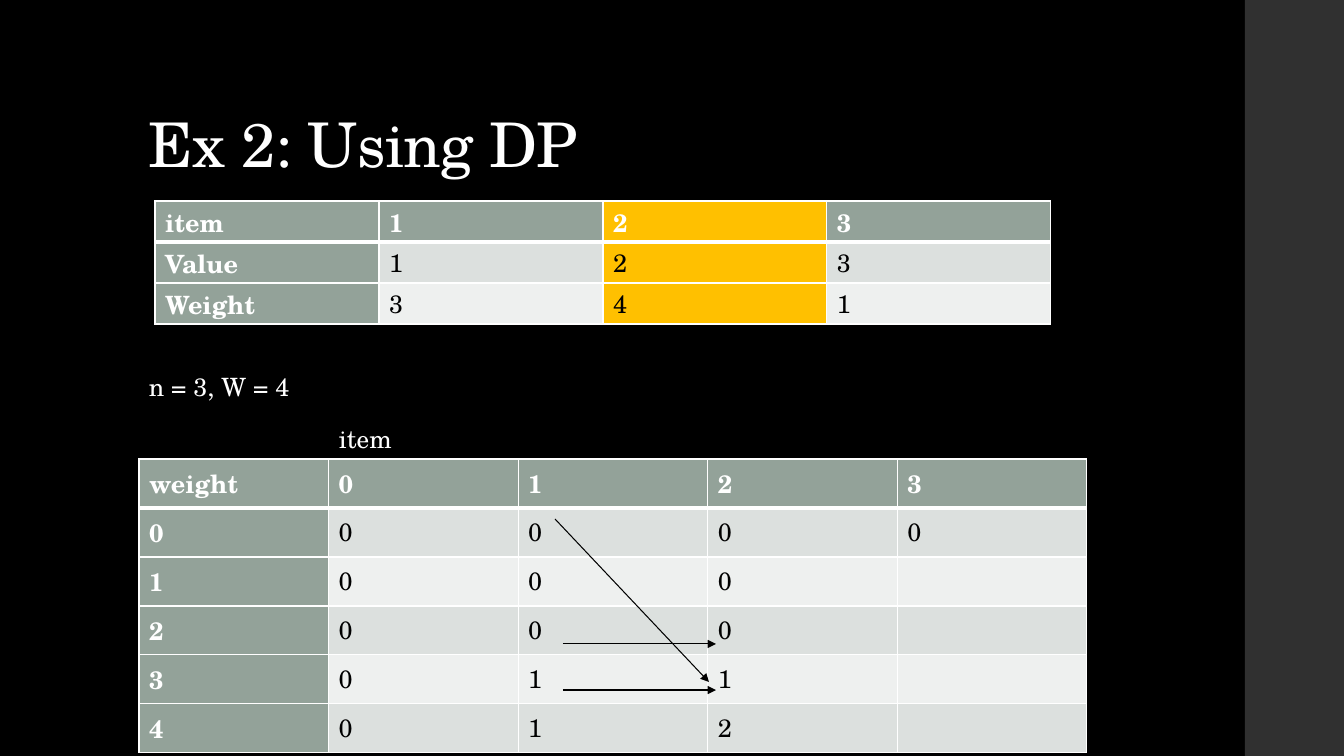
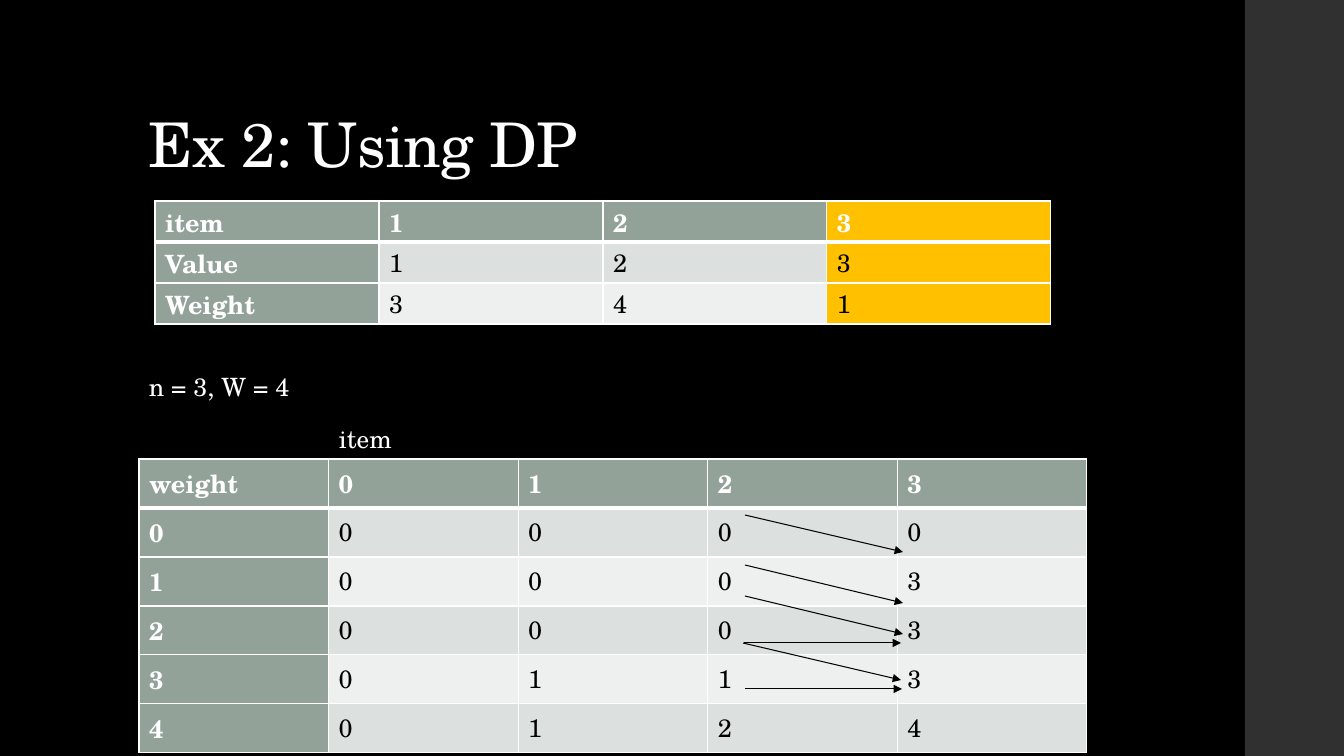
"""Build two slides that step through a knapsack example solved with dynamic programming."""
import lxml.etree
import pptx
import pptx.dml.color
import pptx.enum.shapes
import pptx.enum.text
import pptx.oxml.ns
import pptx.util

PX = 9072
FONT = "TeX Gyre Schola"
WHITE = "FFFFFF"
BLACK = "000000"
SIDEBAR = "303030"
HEADER = "93A299"
BANDS = ("DCE0DE", "EEF0EF")
HIGHLIGHT = "FFC000"


def color(value):
    return pptx.dml.color.RGBColor.from_string(value)


def write_text(text_frame, text, size=18, color_hex=WHITE, bold=False, spacing=None, line_spacing=None):
    paragraph = text_frame.paragraphs[0]
    paragraph.line_spacing = line_spacing
    run = paragraph.add_run()
    run.text = text
    run.font.name = FONT
    run.font.size = pptx.util.Pt(size)
    run.font.bold = bold
    run.font.color.rgb = color(color_hex)
    if spacing is not None:
        run.font._element.set("spc", str(spacing))


ITEMS = [
    ["item", "1", "2", "3"],
    ["Value", "1", "2", "3"],
    ["Weight", "3", "4", "1"],
]
SOLUTION = [
    ["weight", "0", "1", "2", "3"],
    ["0", "0", "0", "0", "0"],
    ["1", "0", "0", "0", "3"],
    ["2", "0", "0", "0", "3"],
    ["3", "0", "1", "1", "3"],
    ["4", "0", "1", "2", "4"],
]
PARTIAL = SOLUTION[:2] + [row[:-1] + [""] for row in SOLUTION[2:]]

STEPS = [
    {
        "item": 2,
        "solution": PARTIAL,
        "arrows": [(555, 519, 709, 682), (563, 690, 716, 690), (563, 644, 716, 644)],
    },
    {
        "item": 3,
        "solution": SOLUTION,
        "arrows": [
            (743, 643, 901, 680),
            (745, 689, 902, 689),
            (745, 515, 903, 552),
            (745, 565, 903, 603),
            (745, 596, 903, 634),
            (744, 643, 901, 643),
        ],
    },
]
LABELS = [("item", 329, 418, 105, True), ("n = 3, W = 4", 139, 366, 162, False)]

presentation = pptx.Presentation()
presentation.slide_width = 1344 * PX
presentation.slide_height = 756 * PX
background = presentation.slide_master.background.fill
background.solid()
background.fore_color.rgb = color(BLACK)

for step in STEPS:
    slide = presentation.slides.add_slide(presentation.slide_layouts[6])

    sidebar = slide.shapes.add_shape(
        pptx.enum.shapes.MSO_SHAPE.RECTANGLE, 1245 * PX, 0, 99 * PX, 756 * PX
    )
    sidebar.shadow.inherit = False
    sidebar.fill.solid()
    sidebar.fill.fore_color.rgb = color(SIDEBAR)
    sidebar.line.fill.background()

    title = slide.shapes.add_textbox(139 * PX, 40 * PX, 1068 * PX, 146 * PX).text_frame
    title.word_wrap = True
    title.vertical_anchor = pptx.enum.text.MSO_ANCHOR.BOTTOM
    write_text(title, "Ex 2: Using DP", size=44, spacing=-50, line_spacing=0.9)

    tables = [
        (step["solution"], 139, 459, 948, 49, 5, 5, None),
        (ITEMS, 155, 201, 896, 41, 2, 0, step["item"]),
    ]
    for rows, left, top, width, row_height, margin_top, margin_bottom, highlighted in tables:
        table = slide.shapes.add_table(
            len(rows), len(rows[0]), left * PX, top * PX, width * PX, len(rows) * row_height * PX
        ).table
        table.first_col = True
        for row_index, row in enumerate(rows):
            for column_index, text in enumerate(row):
                cell = table.cell(row_index, column_index)
                cell.margin_top = margin_top * PX
                cell.margin_bottom = margin_bottom * PX
                is_header = row_index == 0 or column_index == 0

                border_widths = {
                    "a:lnL": 1,
                    "a:lnR": 1,
                    "a:lnT": 3 if row_index == 1 else 1,
                    "a:lnB": 3 if row_index == 0 else 1,
                }
                properties = cell._tc.get_or_add_tcPr()
                for side, border_width in border_widths.items():
                    border = lxml.etree.SubElement(
                        properties, pptx.oxml.ns.qn(side), w=str(pptx.util.Pt(border_width))
                    )
                    border_fill = lxml.etree.SubElement(border, pptx.oxml.ns.qn("a:solidFill"))
                    lxml.etree.SubElement(border_fill, pptx.oxml.ns.qn("a:srgbClr"), val=WHITE)

                fill = HEADER if is_header else BANDS[(row_index - 1) % 2]
                if column_index == highlighted:
                    fill = HIGHLIGHT
                cell.fill.solid()
                cell.fill.fore_color.rgb = color(fill)
                if text:
                    write_text(
                        cell.text_frame, text, color_hex=WHITE if is_header else BLACK, bold=is_header
                    )

    for text, left, top, width, wrap in LABELS:
        label = slide.shapes.add_textbox(left * PX, top * PX, width * PX, 40 * PX).text_frame
        label.word_wrap = wrap
        label.auto_size = pptx.enum.text.MSO_AUTO_SIZE.SHAPE_TO_FIT_TEXT
        write_text(label, text)

    for start_x, start_y, end_x, end_y in step["arrows"]:
        arrow = slide.shapes.add_connector(
            pptx.enum.shapes.MSO_CONNECTOR.STRAIGHT, start_x * PX, start_y * PX, end_x * PX, end_y * PX
        )
        arrow.line.color.rgb = color(BLACK)
        arrow.line.width = pptx.util.Pt(0.75)
        line = arrow.line._get_or_add_ln()
        lxml.etree.SubElement(line, pptx.oxml.ns.qn("a:tailEnd"), type="triangle")
        lxml.etree.SubElement(arrow._element.spPr, pptx.oxml.ns.qn("a:effectLst"))

presentation.save("out.pptx")
